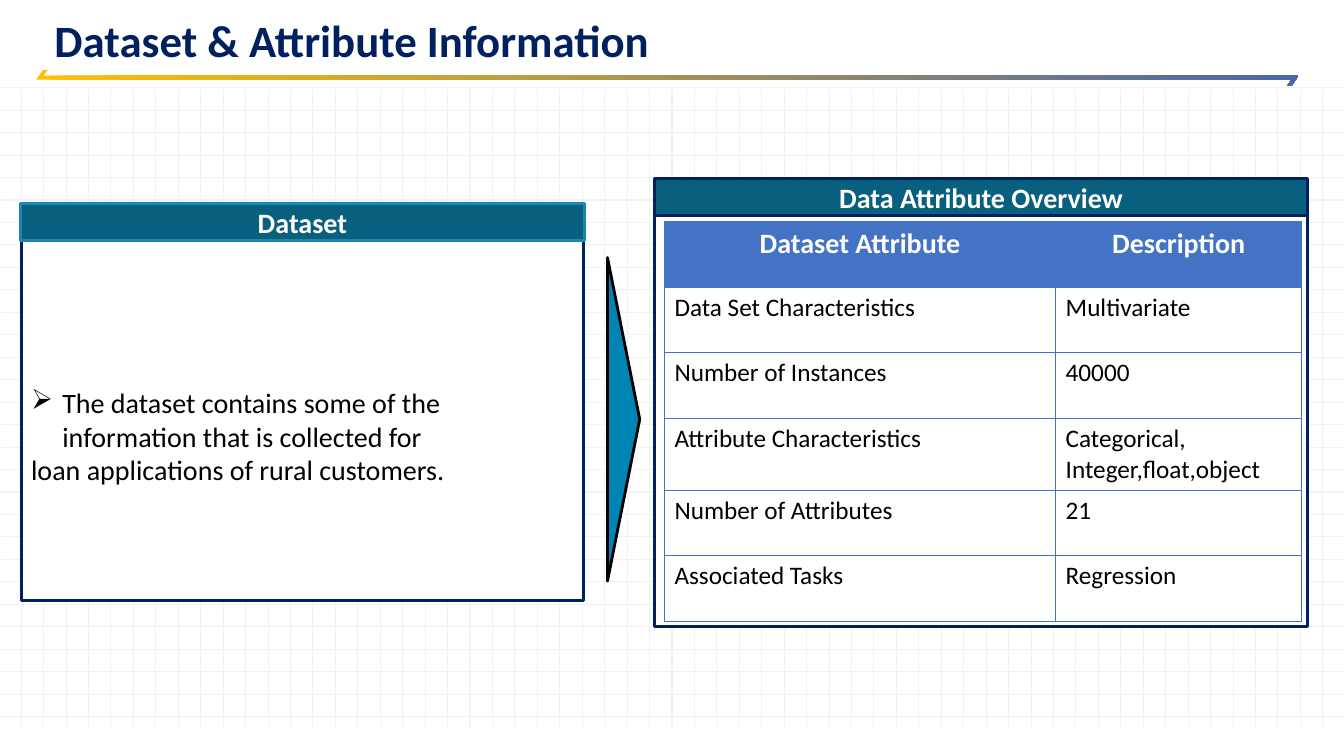
from lxml.etree import SubElement
from pptx import Presentation
from pptx.dml.color import RGBColor
from pptx.enum.shapes import MSO_CONNECTOR, MSO_SHAPE
from pptx.enum.text import MSO_ANCHOR, MSO_AUTO_SIZE, PP_ALIGN
from pptx.oxml.ns import qn
from pptx.util import Inches, Pt

FONT = "Calibri"
NAVY = RGBColor(0x00, 0x20, 0x60)
WHITE = RGBColor(0xFF, 0xFF, 0xFF)
BLACK = RGBColor(0x00, 0x00, 0x00)
PALE_GREY = RGBColor(0xF2, 0xF2, 0xF2)
GOLD = RGBColor(0xFF, 0xC0, 0x00)
INDIGO = RGBColor(0x4A, 0x66, 0xAC)
PETROL = RGBColor(0x09, 0x5F, 0x7E)
TEAL = RGBColor(0x18, 0x88, 0xB1)
ARROW_BLUE = RGBColor(0x00, 0x84, 0xB4)
TABLE_BLUE = RGBColor(0x44, 0x72, 0xC4)

GRID_LEFT, GRID_RIGHT, GRID_COLUMNS = 0.21, 13.12, 58
GRID_TOP, GRID_BOTTOM, GRID_ROWS = 0.87, 7.11, 28

TITLE_RULE = [(0.43, 0.69), (0.48, 0.69), (0.43, 0.75), (12.88, 0.75),
              (12.81, 0.85), (12.77, 0.85), (12.81, 0.79), (0.36, 0.79)]

ATTRIBUTES = [
    ("Dataset Attribute", "Description"),
    ("Data Set Characteristics", "Multivariate"),
    ("Number of Instances", "40000"),
    ("Attribute Characteristics", "Categorical, Integer,float,object"),
    ("Number of Attributes", "21"),
    ("Associated Tasks", "Regression"),
]
COLUMN_WIDTHS = [3.88, 2.44]
ROW_HEIGHTS = [0.65, 0.65, 0.65, 0.68, 0.65, 0.65]


def format_paragraph(paragraph, size, color, bold=False, alignment=PP_ALIGN.LEFT):
    paragraph.alignment = alignment
    paragraph.font.name = FONT
    paragraph.font.size = Pt(size)
    paragraph.font.bold = bold
    paragraph.font.color.rgb = color


def add_grid_line(slide, x1, y1, x2, y2):
    line = slide.shapes.add_connector(
        MSO_CONNECTOR.STRAIGHT, Inches(x1), Inches(y1), Inches(x2), Inches(y2))
    line.line.color.rgb = PALE_GREY
    line.line.width = Pt(0.75)
    SubElement(line._element.spPr, qn("a:effectLst"))


def add_grid(slide):
    column_pitch = (GRID_RIGHT - GRID_LEFT) / GRID_COLUMNS
    for column in range(GRID_COLUMNS + 1):
        x = GRID_LEFT + column * column_pitch
        add_grid_line(slide, x, 0.88, x, 7.21)
    row_pitch = (GRID_BOTTOM - GRID_TOP) / GRID_ROWS
    for row in range(GRID_ROWS + 1):
        y = GRID_TOP + row * row_pitch
        add_grid_line(slide, 0, y, 13.32, y)


def add_title(slide, text):
    title = slide.shapes.title
    title.left, title.top = Inches(0.44), Inches(-0.02)
    title.width, title.height = Inches(12.44), Inches(0.74)
    frame = title.text_frame
    frame.text = text
    frame.auto_size = MSO_AUTO_SIZE.NONE
    frame.vertical_anchor = MSO_ANCHOR.BOTTOM
    format_paragraph(frame.paragraphs[0], 32, NAVY, bold=True)
    frame.paragraphs[0].line_spacing = 0.9


def add_title_rule(slide):
    points = [(Inches(x), Inches(y)) for x, y in TITLE_RULE]
    builder = slide.shapes.build_freeform(*points[0])
    builder.add_line_segments(points[1:], close=True)
    rule = builder.convert_to_shape()
    rule.shadow.inherit = False
    rule.line.fill.background()
    rule.fill.gradient()
    rule.fill.gradient_angle = 0
    for stop, position, color in zip(rule.fill.gradient_stops, (0, 1), (GOLD, INDIGO)):
        stop.position = position
        stop.color.rgb = color


def add_box(slide, preset, left, top, width, height, fill, outline, outline_width):
    box = slide.shapes.add_shape(
        preset, Inches(left), Inches(top), Inches(width), Inches(height))
    box.shadow.inherit = False
    box.fill.solid()
    box.fill.fore_color.rgb = fill
    box.line.color.rgb = outline
    box.line.width = Pt(outline_width)
    return box


def add_header(slide, text, left, top, width, outline):
    header = add_box(slide, MSO_SHAPE.RECTANGLE, left, top, width, 0.37,
                     PETROL, outline, 2)
    header.text_frame.text = text
    header.text_frame.vertical_anchor = MSO_ANCHOR.MIDDLE
    format_paragraph(header.text_frame.paragraphs[0], 20, WHITE, True, PP_ALIGN.CENTER)


def add_bullet(paragraph, character):
    properties = paragraph._p.get_or_add_pPr()
    properties.set("marL", str(Inches(0.31)))
    properties.set("indent", str(-Inches(0.31)))
    color = SubElement(properties, qn("a:buClr"))
    SubElement(color, qn("a:srgbClr"), val=str(BLACK))
    SubElement(properties, qn("a:buChar"), char=character)


def add_dataset_panel(slide):
    panel = add_box(slide, MSO_SHAPE.RECTANGLE, 0.21, 2.38, 5.58, 3.58,
                    WHITE, NAVY, 2.25)
    frame = panel.text_frame
    frame.margin_top = Inches(0.36)
    frame.vertical_anchor = MSO_ANCHOR.MIDDLE
    frame.text = ("The dataset contains some of the\vinformation that is collected for\n"
                  "loan applications of rural customers.")
    for paragraph in frame.paragraphs:
        format_paragraph(paragraph, 20, BLACK)
    add_bullet(frame.paragraphs[0], "➢")
    add_header(slide, "Dataset", 0.2, 2.02, 5.6, TEAL)


def set_cell_borders(cell, color, width):
    properties = cell._tc.get_or_add_tcPr()
    for side in ("a:lnL", "a:lnR", "a:lnT", "a:lnB"):
        border = SubElement(properties, qn(side), w=str(Pt(width)))
        fill = SubElement(border, qn("a:solidFill"))
        SubElement(fill, qn("a:srgbClr"), val=str(color))


def add_attribute_table(slide):
    table = slide.shapes.add_table(
        len(ATTRIBUTES), len(COLUMN_WIDTHS), Inches(6.59), Inches(2.2),
        Inches(sum(COLUMN_WIDTHS)), Inches(sum(ROW_HEIGHTS))).table
    table.horz_banding = False
    for column, width in zip(table.columns, COLUMN_WIDTHS):
        column.width = Inches(width)
    for row, height in zip(table.rows, ROW_HEIGHTS):
        row.height = Inches(height)
    for row_index, texts in enumerate(ATTRIBUTES):
        for column_index, text in enumerate(texts):
            cell = table.cell(row_index, column_index)
            cell.text = text
            paragraph = cell.text_frame.paragraphs[0]
            set_cell_borders(cell, TABLE_BLUE, 0.5)
            if row_index == 0:
                cell.fill.solid()
                cell.fill.fore_color.rgb = TABLE_BLUE
                format_paragraph(paragraph, 20, WHITE, True, PP_ALIGN.CENTER)
            else:
                cell.fill.background()
                format_paragraph(paragraph, 18, BLACK)


def add_overview_panel(slide):
    add_box(slide, MSO_SHAPE.RECTANGLE, 6.49, 2.12, 6.48, 4.1, WHITE, NAVY, 2.25)
    add_header(slide, "Data Attribute Overview", 6.49, 1.77, 6.48, NAVY)
    add_attribute_table(slide)


def main():
    presentation = Presentation()
    presentation.slide_width = Inches(13.33)
    presentation.slide_height = Inches(7.5)
    slide = presentation.slides.add_slide(
        presentation.slide_layouts.get_by_name("Title Only"))
    add_grid(slide)
    add_title_rule(slide)
    add_title(slide, "Dataset & Attribute Information")
    add_dataset_panel(slide)
    add_overview_panel(slide)
    arrow = add_box(slide, MSO_SHAPE.ISOSCELES_TRIANGLE, 4.58, 4, 3.21, 0.32,
                    ARROW_BLUE, BLACK, 2)
    arrow.rotation = 90
    presentation.save("out.pptx")


if __name__ == "__main__":
    main()
